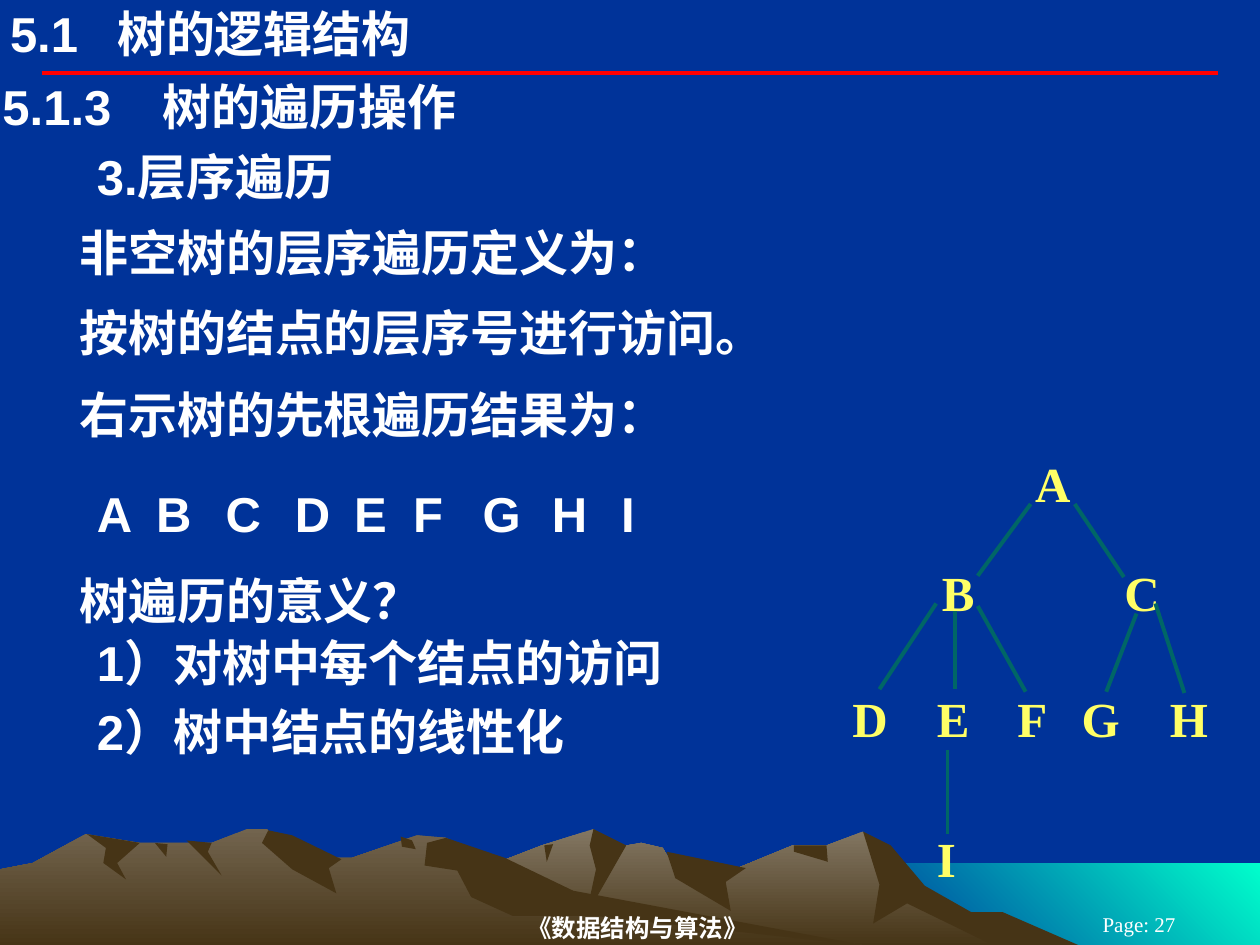
from lxml import etree
from pptx import Presentation
from pptx.dml.color import RGBColor
from pptx.enum import shapes, text
from pptx.oxml import ns
from pptx.util import Inches, Pt

WHITE, YELLOW, GREEN, RED = "FFFFFF", "FFFF66", "006666", "FF0000"
BLUE, SHADE = "003399", "463416"

# Scenery: fill (a colour, or start, end and clockwise angle), outline in 1/100 inch
SCENERY = [
    (("00FFCC", BLUE, 135), [(1000, 752), (683, 752), (683, 685), (1000, 685)]),
    (("837763", SHADE, 90), [
        (821, 751), (764, 723), (723, 698), (685, 660), (656, 671), (629, 671), (566, 697),
        (536, 690), (526, 673), (509, 669), (486, 673), (471, 658), (430, 671), (394, 685),
        (327, 709), (258, 751)]),
    (SHADE, [(796, 724), (771, 724), (734, 703), (707, 671), (685, 660), (698, 702),
             (693, 733), (720, 717), (792, 752), (858, 751)]),
    (SHADE, [(471, 658), (468, 671), (473, 690), (465, 727), (497, 671)]),
    (SHADE, [(529, 676), (536, 697), (580, 723), (576, 700), (592, 689)]),
    (SHADE, [(630, 671), (630, 676), (657, 684), (656, 671)]),
    (SHADE, [(432, 671), (439, 670), (434, 684)]),
    (("72644E", SHADE, 90), [
        (690, 751), (432, 712), (354, 665), (331, 663), (279, 681), (236, 681), (212, 658),
        (196, 658), (168, 669), (111, 669), (68, 662), (26, 685), (0, 690), (0, 751)]),
    (SHADE, [(213, 659), (208, 669), (232, 690), (267, 709), (261, 689), (271, 682),
             (232, 663)]),
    (SHADE, [(354, 665), (339, 669), (337, 687), (363, 691), (374, 712), (407, 727),
             (472, 727), (690, 751), (455, 707), (401, 681)]),
    (SHADE, [(318, 664), (327, 667), (330, 674), (319, 672)]),
    (SHADE, [(148, 667), (168, 669), (165, 676), (176, 695)]),
    (SHADE, [(123, 669), (133, 670), (132, 680)]),
    (SHADE, [(69, 662), (111, 669), (93, 685), (100, 698), (82, 685), (84, 673)]),
]

# Body lines: top, text; numbered lines are indented a little further
LINES = [
    (1.15, "3.层序遍历"),
    (1.76, "非空树的层序遍历定义为："),
    (2.39, "按树的结点的层序号进行访问。"),
    (3.04, "右示树的先根遍历结果为："),
    (4.52, "树遍历的意义？"),
    (5.01, "1）对树中每个结点的访问"),
    (5.56, "2）树中结点的线性化"),
]
VISIT_ORDER, WIDE_STEPS = "ABCDEFGHI", "BCFGH"

# Tree levels: top, then the left edge of each node
LEVELS = [
    (3.6, {"A": 8.1}),
    (4.46, {"B": 7.36, "C": 8.81}),
    (5.46, {"D": 6.65, "E": 7.32, "F": 7.96, "G": 8.47, "H": 9.17}),
    (6.57, {"I": 7.24}),
]
EDGES = {"AB": (8.18, 4, 7.76, 4.57), "AC": (8.53, 4, 8.92, 4.58),
         "BD": (7.43, 4.79, 6.98, 5.47), "BE": (7.58, 4.85, 7.58, 5.47),
         "BF": (7.76, 4.81, 8.14, 5.49), "CG": (9.02, 4.87, 8.78, 5.49),
         "CH": (9.17, 4.79, 9.4, 5.5), "EI": (7.52, 5.95, 7.52, 6.62)}

presentation = Presentation()
presentation.slide_width, presentation.slide_height = Inches(10), Inches(7.5)
slide = presentation.slides.add_slide(presentation.slide_layouts[6])


def rgb(value):
    return RGBColor.from_string(value)


def add_outline(fill, points):
    builder = slide.shapes.build_freeform(*points[0], scale=Inches(0.01))
    builder.add_line_segments(points[1:], close=True)
    shape = builder.convert_to_shape()
    shape.shadow.inherit = False
    shape.line.fill.background()
    if isinstance(fill, str):
        shape.fill.solid()
        shape.fill.fore_color.rgb = rgb(fill)
        return
    *colors, angle = fill
    shape.fill.gradient()
    shape.fill.gradient_angle = 360 - angle
    for position, (stop, color) in enumerate(zip(shape.fill.gradient_stops, colors)):
        stop.position = position
        stop.color.rgb = rgb(color)


def add_line(x1, y1, x2, y2, color):
    line = slide.shapes.add_connector(
        shapes.MSO_CONNECTOR.STRAIGHT, *map(Inches, (x1, y1, x2, y2)))
    line.line.color.rgb = rgb(color)
    line.line.width = Pt(2.25)
    etree.SubElement(line._element.spPr, ns.qn("a:effectLst"))


def write(shape, content, insets, size=28, font="Arial", color=WHITE, bold=True,
          align=text.PP_ALIGN.LEFT, anchor=text.MSO_ANCHOR.TOP, indent=0, tab=None):
    """Fill a shape with one formatted paragraph; insets are left, top, right, bottom."""
    frame = shape.text_frame
    frame.word_wrap = True
    frame.vertical_anchor = anchor
    (frame.margin_left, frame.margin_top,
     frame.margin_right, frame.margin_bottom) = map(Inches, insets)
    frame.text = content
    paragraph = frame.paragraphs[0]
    paragraph.alignment = align
    properties = paragraph._p.get_or_add_pPr()
    if indent:
        properties.set("marL", str(Inches(indent)))
        properties.set("indent", "0")
    if tab:
        tabs = etree.SubElement(properties, ns.qn("a:tabLst"))
        etree.SubElement(tabs, ns.qn("a:tab"), pos=str(Inches(tab)), algn="l")
    for run in paragraph.runs:
        run.font.size, run.font.name, run.font.bold = Pt(size), font, bold
        run.font.color.rgb = rgb(color)
    return paragraph


def add_text(box, content, insets=(0.02, 0.01, 0.02, 0.01), **style):
    write(slide.shapes.add_textbox(*map(Inches, box)), content, insets, **style)


def add_node(letter, left, top):
    node = slide.shapes.add_shape(
        shapes.MSO_SHAPE.OVAL, *map(Inches, (left, top, 0.51, 0.49)))
    node.shadow.inherit = False
    node.fill.background()
    node.line.fill.background()
    inset = 0.12 if letter == "I" else 0.04
    paragraph = write(node, letter, (inset, 0.02, 0.04, 0.04),
                      font="Times New Roman", color=YELLOW)
    paragraph.line_spacing = 0.8


slide.background.fill.solid()
slide.background.fill.fore_color.rgb = rgb(BLUE)
for fill, points in SCENERY:
    add_outline(fill, points)
add_line(0.33, 0.58, 9.67, 0.58, RED)

footer = dict(font="Times New Roman", align=text.PP_ALIGN.CENTER, anchor=text.MSO_ANCHOR.MIDDLE)
add_text((2.08, 7.22, 6.06, 0.28), "《数据结构与算法》", (0, 0.01, 0.1, 0.01), size=14, **footer)
add_text((8.25, 7.25, 1.58, 0.17), "Page: 27", (0.1, 0.05, 0.1, 0.05),
         size=12, bold=False, **footer)

add_text((0.08, 0.03, 6.5, 0.47), "5.1\t树的逻辑结构", (0, 0, 0, 0), tab=0.85)
add_text((0, 0.6, 10, 0.49), "5.1.3\t树的遍历操作", tab=1.27)
for top, content in LINES:
    add_text((0, top, 10, 0.49), content, indent=0.75 if content[0].isdigit() else 0.61)

left = 0.75
for letter in VISIT_ORDER:
    add_text((left, 3.83, 0.47, 0.96), letter)
    left += 0.55 if letter in WIDE_STEPS else 0.47

for top, nodes in LEVELS:
    for letter, left in nodes.items():
        add_node(letter, left, top)
for ends in EDGES.values():
    add_line(*ends, GREEN)

presentation.save("out.pptx")
